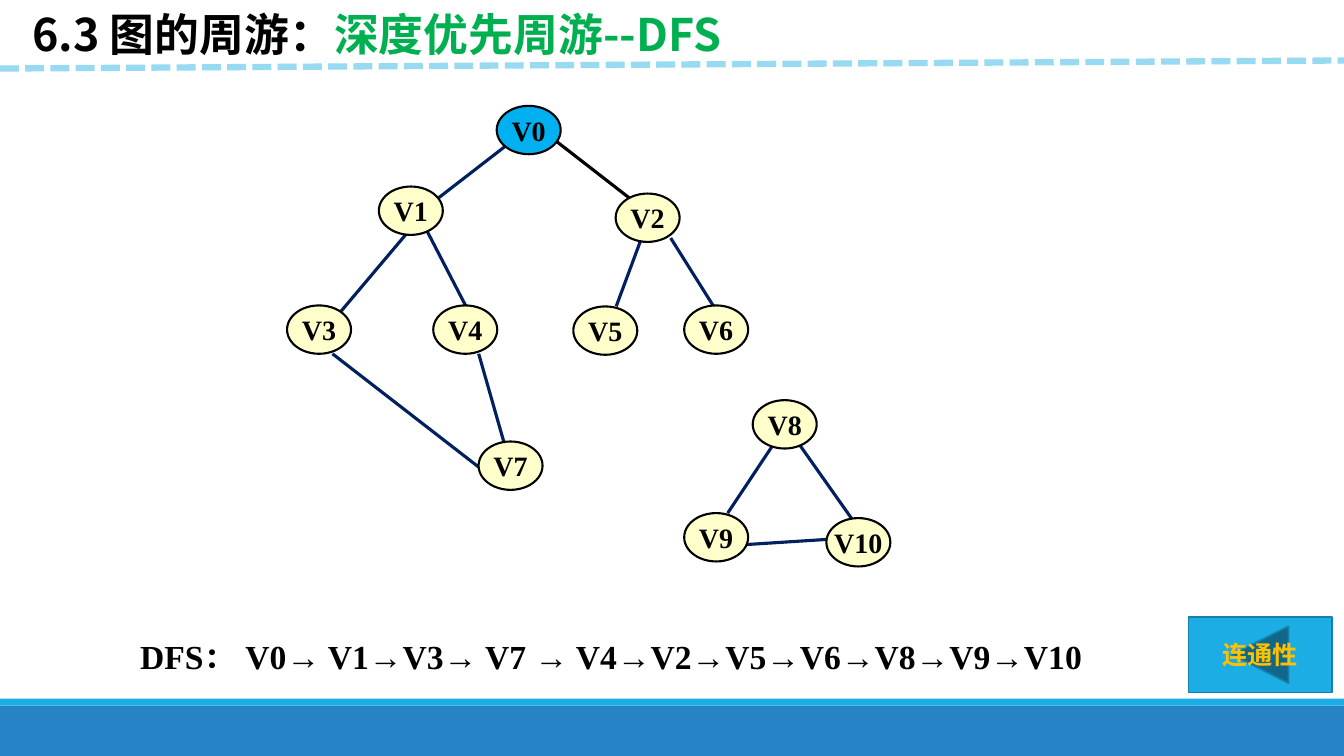
from collections import namedtuple

from lxml import etree
from pptx import Presentation
from pptx.dml.color import RGBColor
from pptx.enum.dml import MSO_LINE
from pptx.enum.shapes import MSO_CONNECTOR, MSO_SHAPE
from pptx.enum.text import MSO_ANCHOR, PP_ALIGN
from pptx.oxml.ns import qn
from pptx.util import Inches, Pt

RECTANGLE = MSO_SHAPE.RECTANGLE
OVAL = MSO_SHAPE.OVAL
BACK_BUTTON = MSO_SHAPE.ACTION_BUTTON_BACK_OR_PREVIOUS
STRAIGHT = MSO_CONNECTOR.STRAIGHT
SHORT_DASH = MSO_LINE.SQUARE_DOT
MIDDLE, CENTER = MSO_ANCHOR.MIDDLE, PP_ALIGN.CENTER

WIDTH, HEIGHT = Inches(13.333), Inches(7.5)
COLUMN, ROW = WIDTH / 100, HEIGHT / 100
SANS, SERIF, LATIN = "Noto Sans CJK SC", "Times New Roman", "Calibri"
BLACK, NAVY, CREAM, SKY = "000000", "002060", "FFFFCC", "1CADE4"

Box = namedtuple("Box", "left top width height")

NODE_WIDTH, NODE_HEIGHT = 4.76, 6.4
NODES = {
    "V0": (15.6, 0),
    "V1": (6.83, 10.67),
    "V2": (24.45, 11.6),
    "V3": (0, 26.4),
    "V4": (10.88, 26.4),
    "V5": (21.3, 26.53),
    "V6": (29.55, 26.4),
    "V7": (14.25, 44.4),
    "V8": (34.65, 38.93),
    "V9": (29.55, 53.87),
    "V10": (40.13, 54.53),
}
EDGES = [
    ("V0", (0.14, 0.83), "V1", (0.86, 0.31), NAVY),
    ("V1", (0.43, 0.98), "V3", (0.71, 0.33), NAVY),
    ("V1", (0.71, 0.81), "V4", (0.57, 0.17), NAVY),
    ("V4", (0.71, 1), "V7", (0.43, 0.17), NAVY),
    ("V3", (0.71, 1), "V7", (0.14, 0.67), NAVY),
    ("V0", (0.87, 0.67), "V2", (0.29, 0.17), BLACK),
    ("V2", (0.43, 0.83), "V5", (0.67, 0), NAVY),
    ("V2", (0.86, 0.92), "V6", (0.46, 0.02), NAVY),
    ("V8", (0.32, 0.92), "V9", (0.68, 0), NAVY),
    ("V8", (0.73, 0.92), "V10", (0.41, 0.04), NAVY),
    ("V10", (0.02, 0.44), "V9", (0.98, 0.65), NAVY),
]


def color(value):
    """Turn a hex string into a colour."""
    return RGBColor.from_string(value)


def place(box):
    """Turn a box in columns and rows into slide lengths."""
    return (round(box.left * COLUMN), round(box.top * ROW),
            round(box.width * COLUMN), round(box.height * ROW))


def add_run(paragraph, text, size, font, fill):
    """Append one bold run."""
    run = paragraph.add_run()
    run.text = text
    run.font.size, run.font.bold, run.font.name = Pt(size), True, font
    run.font.color.rgb = color(fill)
    east_asian = etree.SubElement(run.font._element, qn("a:ea"))
    east_asian.set("typeface", SANS if font == LATIN else font)


def add_text(slide, box, runs, size, font):
    """Add a one-paragraph text box."""
    shape = slide.shapes.add_textbox(*place(box))
    shape.text_frame.word_wrap = True
    for text, fill in runs:
        add_run(shape.text_frame.paragraphs[0], text, size, font, fill)


def add_filled(slide, kind, box, fill, line=None, weight=0):
    """Add a flat preset shape with an optional outline."""
    shape = slide.shapes.add_shape(kind, *place(box))
    shape.shadow.inherit = False
    shape.fill.solid()
    shape.fill.fore_color.rgb = color(fill)
    if line:
        shape.line.color.rgb = color(line)
        shape.line.width = Pt(weight)
    else:
        shape.line.fill.background()
    return shape


def add_label(shape, text, size, font, fill, wrap):
    """Centre a label inside a shape."""
    frame = shape.text_frame
    frame.word_wrap, frame.vertical_anchor = wrap, MIDDLE
    paragraph = frame.paragraphs[0]
    paragraph.alignment = CENTER
    add_run(paragraph, text, size, font, fill)


def add_line(slide, start, end, fill, weight):
    """Draw a straight connector between two grid points."""
    points = [round(value * unit) for point in (start, end)
              for value, unit in zip(point, (COLUMN, ROW))]
    line = slide.shapes.add_connector(STRAIGHT, *points)
    line.line.color.rgb = color(fill)
    line.line.width = Pt(weight)
    etree.SubElement(line._element.spPr, qn("a:effectLst"))
    return line


def add_footer(slide, box):
    """Draw the two bars along the bottom."""
    strip = box.height / 8
    add_filled(slide, RECTANGLE, Box(box.left, box.top + strip, box.width, box.height - strip), "2683C6")
    add_filled(slide, RECTANGLE, Box(box.left, box.top, box.width, strip), SKY)


def add_header(slide, box):
    """Write the title above its dashed rule."""
    title = Box(box.left + 1.65, box.top + 0.27, 58.43, 8.53)
    add_text(slide, title, [("6.3 图的周游：", BLACK), ("深度优先周游--DFS", "00B050")], 32, SANS)
    bottom = box.top + box.height
    rule = add_line(slide, (box.left, bottom), (box.left + box.width, bottom - 1.07), "99DAF3", 4.5)
    rule.line.dash_style = SHORT_DASH


def add_graph(slide, box):
    """Draw the edges and then the nodes of the graph."""
    def anchor(name, share):
        """Locate a share of a node's bounding box."""
        column, row = NODES[name]
        return (box.left + column + share[0] * NODE_WIDTH,
                box.top + row + share[1] * NODE_HEIGHT)

    for first, start, second, end, fill in EDGES:
        add_line(slide, anchor(first, start), anchor(second, end), fill, 2.25)
    for name in NODES:
        fill = "00B0F0" if name == "V0" else CREAM
        node_box = Box(*anchor(name, (0, 0)), NODE_WIDTH, NODE_HEIGHT)
        node = add_filled(slide, OVAL, node_box, fill, BLACK, 1.5)
        add_label(node, name, 20, SERIF, BLACK, False)


def add_result(slide, box):
    """Write the visiting order beside the back button."""
    order = Box(box.left, box.top + 1.87, 74.48, 6.67)
    add_text(slide, order, [("DFS： V0→ V1→V3→ V7 → V4→V2→V5→V6→V8→V9→V10", BLACK)], 24, SERIF)
    button_width = 10.65
    button_box = Box(box.left + box.width - button_width, box.top, button_width, box.height)
    button = add_filled(slide, BACK_BUTTON, button_box, SKY, "1580A9", 1.25)
    add_label(button, "连通性", 18, LATIN, "FFC000", True)


def main():
    """Build and save the slide."""
    presentation = Presentation()
    presentation.slide_width, presentation.slide_height = WIDTH, HEIGHT
    slide = presentation.slides.add_slide(presentation.slide_layouts[6])
    add_footer(slide, Box(0, 92.4, 100, 7.6))
    add_header(slide, Box(0, 0, 100, 9.07))
    add_graph(slide, Box(21.36, 14, 44.89, 60.93))
    add_result(slide, Box(9.68, 81.6, 89.4, 10))
    presentation.save("out.pptx")


if __name__ == "__main__":
    main()
